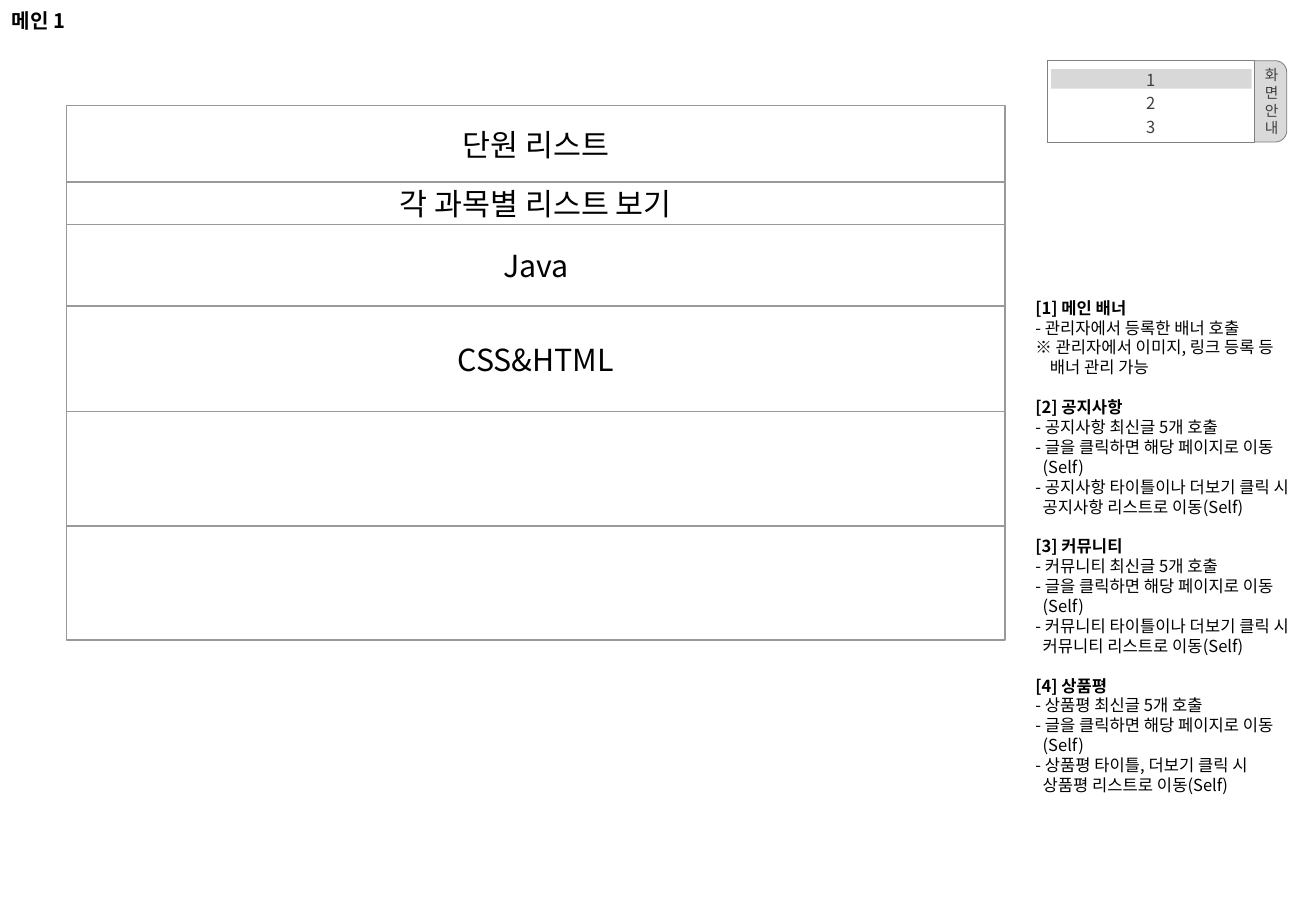
from dataclasses import dataclass
from typing import Any, Optional

import pptx
import pptx.dml.color
import pptx.enum.shapes
import pptx.enum.text
import pptx.oxml.ns
import pptx.util
from lxml import etree

Inches = pptx.util.Inches
Pt = pptx.util.Pt
RGB = pptx.dml.color.RGBColor
Shape = pptx.enum.shapes.MSO_SHAPE
Align = pptx.enum.text.PP_ALIGN
Anchor = pptx.enum.text.MSO_ANCHOR
qn = pptx.oxml.ns.qn


@dataclass(frozen=True)
class Theme:
    font: str = "Noto Sans CJK KR"
    black: str = "000000"
    dark: str = "404040"
    white: str = "FFFFFF"
    tab: str = "D9D9D9"
    panel_line: str = "808080"
    row_line: str = "999999"
    title: float = 11.9
    body: float = 9.8
    tab_size: float = 8.7
    row: float = 18
    leading: float = 1.2


T = Theme()


@dataclass(frozen=True)
class Box:
    left: float
    top: float
    width: float
    height: float


@dataclass(frozen=True)
class Line:
    text: str
    bold: bool = False
    indent: float = 0
    before: float = 0


@dataclass(frozen=True)
class Style:
    size: float
    color: str = T.black
    align: Any = Align.LEFT
    anchor: Any = Anchor.MIDDLE
    leading: float = T.leading
    insets: tuple[float, float, float, float] = (0.1, 0.05, 0.1, 0.05)


@dataclass(frozen=True)
class Row:
    text: str
    height: float


@dataclass(frozen=True)
class Note:
    heading: str
    lines: tuple[Line, ...]


def set_all(target: Any, values: dict[str, Any]) -> None:
    for name, value in values.items():
        setattr(target, name, value)


def write(sp: Any, lines: list[Line], style: Style) -> None:
    tf = sp.text_frame
    left, top, right, bottom = map(Inches, style.insets)
    set_all(tf, {"word_wrap": True, "vertical_anchor": style.anchor,
                 "margin_left": left, "margin_top": top,
                 "margin_right": right, "margin_bottom": bottom})
    for i, line in enumerate(lines):
        p = tf.add_paragraph() if i else tf.paragraphs[0]
        set_all(p, {"alignment": style.align, "space_before": Pt(line.before),
                    "line_spacing": Pt(round(style.size * style.leading, 1))})
        if line.indent:
            p_pr = p._p.get_or_add_pPr()
            p_pr.set("marL", str(Inches(line.indent)))
            p_pr.set("indent", "0")
        r = p.add_run()
        r.text = line.text
        set_all(r.font, {"name": T.font, "size": Pt(style.size), "bold": line.bold})
        r.font.color.rgb = RGB.from_string(style.color)
        # East Asian typeface for the Hangul
        ea = etree.SubElement(r._r.get_or_add_rPr(), qn("a:ea"))
        ea.set("typeface", T.font)


def add_text(slide: Any, box: Box, lines: list[Line], style: Style) -> None:
    sp = slide.shapes.add_textbox(*map(Inches, (box.left, box.top, box.width, box.height)))
    write(sp, lines, style)


def add_box(slide: Any, box: Box, fill: str, line: Optional[str] = None,
            weight: float = 0.5, kind: Any = Shape.RECTANGLE) -> Any:
    sp = slide.shapes.add_shape(
        kind, *map(Inches, (box.left, box.top, box.width, box.height)))
    sp.shadow.inherit = False
    sp.fill.solid()
    sp.fill.fore_color.rgb = RGB.from_string(fill)
    if line:
        sp.line.color.rgb = RGB.from_string(line)
        sp.line.width = Pt(weight)
    else:
        sp.line.fill.background()
    return sp


def set_alpha(sp: Any, percent: int) -> None:
    color = sp._element.spPr.find(qn("a:solidFill"))[0]
    etree.SubElement(color, qn("a:alpha")).set("val", str(percent * 1000))


ROWS = [Row("단원 리스트", 0.63), Row("각 과목별 리스트 보기", 0.35), Row("Java", 0.67),
        Row("CSS&HTML", 0.87), Row("", 0.94), Row("", 0.94)]


def board_note(number: int, name: str, last: str) -> Note:
    return Note(f"[{number}] {name}", (
        Line(f"- {name} 최신글 5개 호출"),
        Line("- 글을 클릭하면 해당 페이지로 이동"),
        Line("(Self)", indent=0.06),
        Line(f"- {name} {last} 클릭 시"),
        Line(f"{name} 리스트로 이동(Self)", indent=0.06)))


NOTES = [
    Note("[1] 메인 배너", (
        Line("- 관리자에서 등록한 배너 호출"),
        Line("※ 관리자에서 이미지, 링크 등록 등"),
        Line("배너 관리 가능", indent=0.12))),
    board_note(2, "공지사항", "타이틀이나 더보기"),
    board_note(3, "커뮤니티", "타이틀이나 더보기"),
    board_note(4, "상품평", "타이틀, 더보기"),
]


def draw_notes(slide: Any) -> None:
    lines: list[Line] = []
    for note in NOTES:
        gap = T.body * T.leading if lines else 0
        lines += [Line(note.heading, bold=True, before=gap), *note.lines]
    add_text(slide, Box(8.48, 2.45, 2.35, 5.05), lines,
             Style(T.body, anchor=Anchor.TOP, insets=(0.04, 0, 0.04, 0)))


def draw_guide(slide: Any) -> None:
    tab = add_box(slide, Box(10.09, 0.5, 0.5, 0.67), T.tab, T.panel_line,
                  kind=Shape.ROUNDED_RECTANGLE)
    tab.adjustments[0] = 0.19
    write(tab, [Line(c) for c in "화면안내"],
          Style(T.tab_size, T.dark, Align.RIGHT, insets=(0, 0, 0.04, 0)))
    menu = add_box(slide, Box(8.62, 0.5, 1.7, 0.67), T.white, T.panel_line)
    write(menu, [Line(c) for c in "123"],
          Style(T.body, T.dark, Align.CENTER, leading=T.leading ** 2, insets=(0.04,) * 4))
    # Highlight over the current item
    set_alpha(add_box(slide, Box(8.65, 0.57, 1.65, 0.16), T.dark), 20)


def draw_rows(slide: Any) -> None:
    top = 0.87
    for row in ROWS:
        sp = add_box(slide, Box(0.55, top, 7.72, row.height), T.white, T.row_line, 0.75)
        if row.text:
            write(sp, [Line(row.text)], Style(T.row, align=Align.CENTER))
        top += row.height


def main() -> None:
    prs = pptx.Presentation()
    set_all(prs, {"slide_width": Inches(10.83), "slide_height": Inches(7.5)})
    slide = prs.slides.add_slide(prs.slide_layouts[6])
    # Page title
    add_text(slide, Box(0, 0, 8.25, 0.34), [Line("메인 1", bold=True)], Style(T.title))
    # Description column, screen guide and page wireframe
    draw_notes(slide)
    draw_guide(slide)
    draw_rows(slide)
    prs.save("out.pptx")


if __name__ == "__main__":
    main()
